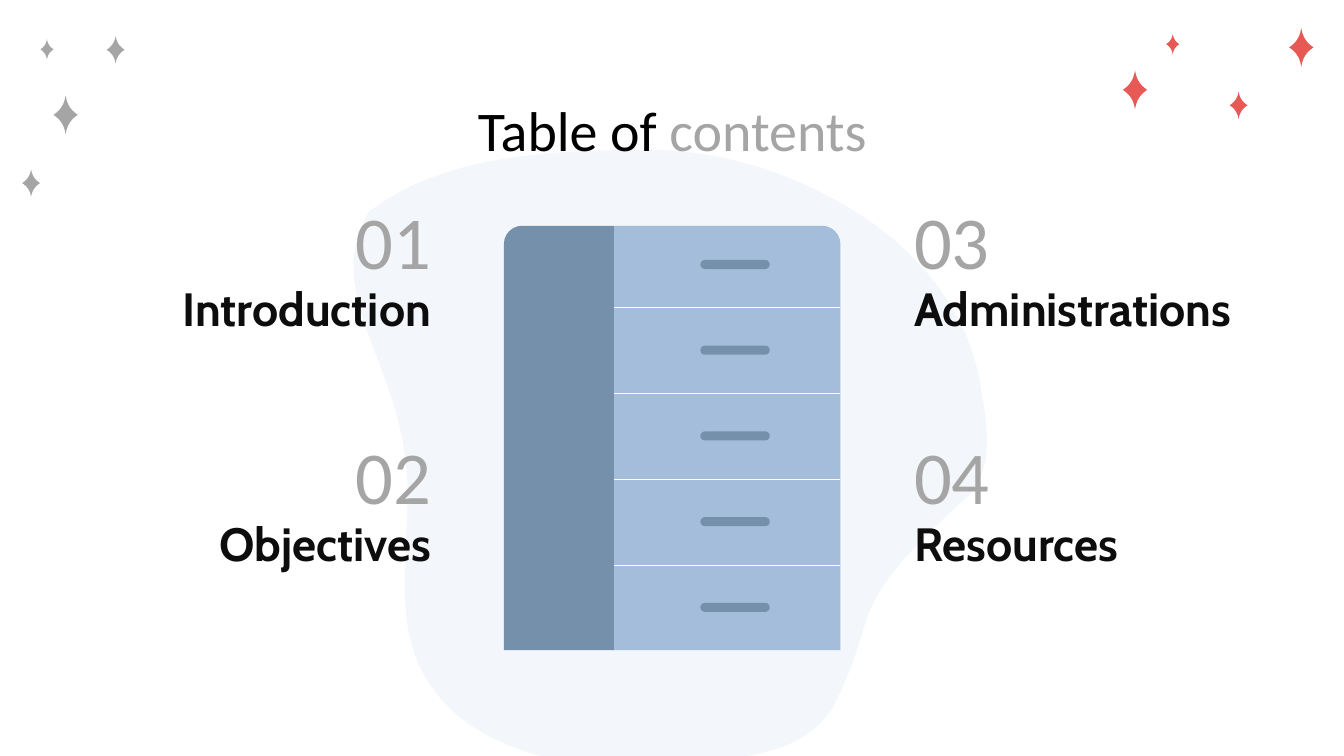
from pptx import Presentation
from pptx.dml.color import RGBColor
from pptx.enum.shapes import MSO_CONNECTOR as Link, MSO_SHAPE as Kind
from pptx.enum.text import MSO_ANCHOR as Anchor, PP_ALIGN as Align
from pptx.oxml.ns import qn
from pptx.util import Cm, Pt
from lxml.etree import SubElement

GREY, RED, INK = "A5A5A5", "E65955", "0D0D0D"
LIGHT, DARK, WHITE = "A4BDDA", "7590AA", "FEFEFE"

# Outlines in percent of their box: each row is two handles and an end point
BLOB = (48.3, 0), [
    (34.7, 0, 18.3, 0.8, 7.5, 10.1),
    (0, 25.1, 14.5, 35.6, 13.3, 58.4),
    (13, 71, 10.6, 83.7, 22.5, 93),
    (29.4, 98, 38.2, 100, 46.5, 100),
    (49.6, 100, 52.6, 99.7, 55.4, 99.3),
    (63.6, 98.2, 71.4, 97.7, 76, 90.7),
    (84.1, 73.7, 76.6, 75.4, 96.7, 55.5),
    (100, 51.1, 99.1, 44.5, 98.2, 39),
    (96.6, 25.8, 88.2, 15.2, 77.3, 8.5),
    (69, 3.3, 59.5, 0.3, 50.5, 0),
]
STAR = (50, 0), [
    (44, 26, 24, 40, 0, 50),
    (24, 60, 44, 74, 50, 100),
    (56, 74, 76, 60, 100, 50),
    (76, 40, 56, 26, 50, 0),
]
SIZES = {"S": (0.33, 0.51), "M": (0.45, 0.69), "L": (0.61, 0.97)}


def color(code):
    return RGBColor.from_string(code)


def paint(shape, code):
    shape.shadow.inherit = False
    shape.fill.solid()
    shape.fill.fore_color.rgb = color(code)
    shape.line.fill.background()
    return shape


def block(shapes, kind, box, code, round_by):
    shape = paint(shapes.add_shape(kind, *map(Cm, box)), code)
    shape.adjustments[0] = round_by
    return shape


def curve(shapes, outline, box, code, steps):
    """Draw a closed outline of cubic curves inside the box."""
    x, y, w, h = box

    def spot(px, py):
        return Cm(x + w * px / 100), Cm(y + h * py / 100)

    start, rows = outline
    points, (ax, ay) = [], start
    for bx, by, cx, cy, dx, dy in rows:
        for i in range(1, steps + 1):
            t = i / steps
            k = (1 - t) ** 3, 3 * t * (1 - t) ** 2, 3 * t * t * (1 - t), t ** 3
            px = sum(a * b for a, b in zip(k, (ax, bx, cx, dx)))
            py = sum(a * b for a, b in zip(k, (ay, by, cy, dy)))
            points.append(spot(px, py))
        ax, ay = dx, dy
    form = shapes.build_freeform(*spot(*start))
    form.add_line_segments(points, close=True)
    return paint(form.convert_to_shape(), code)


def style(run, font, size, code, bold=False):
    run.font.name, run.font.size, run.font.bold = font, Pt(size), bold
    run.font.color.rgb = color(code)


def frame(shape, anchor):
    text = shape.text_frame
    text.word_wrap, text.vertical_anchor = True, anchor
    text.margin_left = text.margin_right = Cm(0.33)
    text.margin_top = text.margin_bottom = Cm(0.33)
    return text


def back(shapes, box):
    blob = curve(shapes, BLOB, box, LIGHT, 16)
    tint = blob.fill._xPr.find(qn("a:solidFill"))[0]
    SubElement(tint, qn("a:alpha")).set("val", "13000")


def stars(shapes, code, spots):
    group = shapes.add_group_shape()
    for x, y, size in spots:
        curve(group.shapes, STAR, (x, y, *SIZES[size]), code, 6)


def heading(title, box):
    title.left, title.top, title.width, title.height = map(Cm, box)
    line = frame(title, Anchor.BOTTOM).paragraphs[0]
    line.alignment = Align.CENTER
    for words, code in (("Table of ", "000000"), ("contents", GREY)):
        run = line.add_run()
        run.text = words
        style(run, "Calibri", 40, code)


def label(shapes, box, words, align, look, space=1.0):
    text = frame(shapes.add_textbox(*map(Cm, box)), Anchor.MIDDLE)
    text.text = words
    line = text.paragraphs[0]
    line.alignment, line.line_spacing = align, space
    style(line.runs[0], *look)


def entry(shapes, box, number, words, align):
    x, y, w, h = box
    num_w, num_h = 3.38, 2.13
    num_x = x + w - num_w if align == Align.RIGHT else x
    label(shapes, (num_x, y, num_w, num_h), number, align,
          ("Calibri", 53.3, GREY))
    label(shapes, (x, y + num_h, w, h - num_h), words, align,
          ("Cabin", 33.3, INK, True), 0.9)


def cabinet(shapes, box):
    x, y, w, h = box
    side, bend = 2.77, 0.46
    face = w - side
    parts = shapes.add_group_shape().shapes

    # Front and side panel, each with one round top corner
    block(parts, Kind.ROUND_1_RECTANGLE, (x + side, y, face, h), LIGHT,
          bend / face)
    panel = block(parts, Kind.ROUND_1_RECTANGLE, (x, y, side, h), DARK,
                  bend / side)
    panel.element.spPr.find(qn("a:xfrm")).set("flipH", "1")

    # Gaps between drawers
    for i in range(4):
        gap = Cm(y + 2.06 + 2.17 * i)
        line = parts.add_connector(Link.STRAIGHT, Cm(x + side), gap,
                                   Cm(x + w), gap)
        line.line.color.rgb = color(WHITE)
        line.line.width = Pt(0.66)
        SubElement(line.element.spPr, qn("a:effectLst"))

    # Handles
    for i in range(5):
        block(parts, Kind.ROUNDED_RECTANGLE,
              (x + 4.95, y + 0.86 + 2.16 * i, 1.75, 0.23), DARK, 0.5)


def main():
    deck = Presentation()
    deck.slide_width, deck.slide_height = Cm(33.87), Cm(19.05)
    slide = deck.slides.add_slide(deck.slide_layouts.get_by_name("Title Only"))
    shapes = slide.shapes

    # Backdrop
    back(shapes, (8, 3.78, 17.04, 15.57))
    stars(shapes, GREY, [(2.69, 0.91, "M"), (0.56, 4.27, "M"),
                         (1.35, 2.41, "L"), (1.02, 0.99, "S")])
    stars(shapes, RED, [(30.99, 2.31, "M"), (32.49, 0.71, "L"),
                        (28.3, 1.78, "L"), (29.39, 0.86, "S")])

    # Title, above the backdrop
    title = shapes.title
    shapes._spTree.append(title.element)
    heading(title, (2.69, 2.64, 28.5, 1.78))

    # Contents in two columns
    columns = [(2.01, Align.RIGHT, ("Introduction", "Objectives")),
               (22.71, Align.LEFT, ("Administrations", "Resources"))]
    for col, (x, align, names) in enumerate(columns):
        for row, name in enumerate(names):
            entry(shapes, (x, 4.98 + 5.92 * row, 9.19, 3.6),
                  f"{2 * col + row + 1:02}", name, align)

    cabinet(shapes, (12.7, 5.69, 8.48, 10.69))
    deck.save("out.pptx")


if __name__ == "__main__":
    main()
